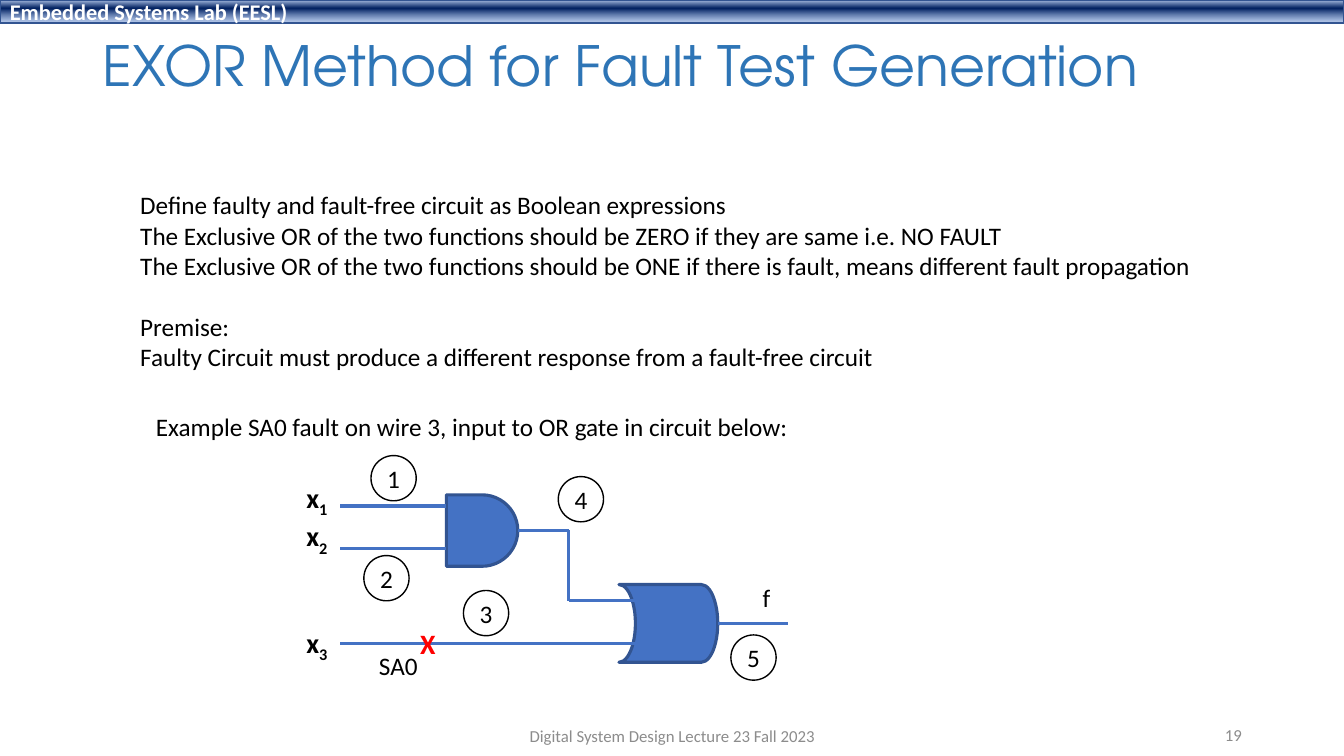
from dataclasses import dataclass

import lxml.etree
import pptx
import pptx.dml.color
import pptx.enum.shapes
import pptx.enum.text
import pptx.oxml
import pptx.oxml.ns
import pptx.util

Cm, Pt = pptx.util.Cm, pptx.util.Pt
Align, Anchor = pptx.enum.text.PP_ALIGN, pptx.enum.text.MSO_ANCHOR
Preset = pptx.enum.shapes.MSO_SHAPE
qn = pptx.oxml.ns.qn

COLORS = {
    "title": "2E75B6", "text": "000000", "footer": "8C8C8C", "banner text": "FFFFFF",
    "wire": "4472C4", "outline": "325491", "fault": "FF0000",
    "banner top": "ABC0E4", "banner middle": "002060", "banner bottom": "7E9ED6",
}


@dataclass
class Box:
    left: float
    top: float
    width: float
    height: float

    def cm(self) -> tuple:
        return Cm(self.left), Cm(self.top), Cm(self.width), Cm(self.height)


@dataclass
class Label:
    text: str
    box: Box
    size: float = 18
    color: str = "text"
    bold: bool = False
    align: Align = Align.LEFT
    anchor: Anchor = Anchor.TOP
    wrap: bool = False


@dataclass
class Gate:
    preset: Preset
    box: Box
    flipped: bool = False


@dataclass
class WireNumber:
    number: int
    left: float
    top: float


def rgb(name: str) -> pptx.dml.color.RGBColor:
    return pptx.dml.color.RGBColor.from_string(COLORS[name])


def write(frame, text: str, *, size: float = 18, color: str = "text", bold: bool = False,
          font: str = "Calibri", align=Align.LEFT, anchor=Anchor.TOP, wrap: bool = False,
          line_spacing: float = 1.0, gaps: dict = {}) -> None:
    """Write one paragraph per line; "_" marks the start of a subscript, gaps maps line to points before."""
    frame.auto_size = pptx.enum.text.MSO_AUTO_SIZE.NONE
    frame.word_wrap, frame.vertical_anchor = wrap, anchor
    for row, line in enumerate(text.split("\n")):
        paragraph = frame.add_paragraph() if row else frame.paragraphs[0]
        paragraph.alignment, paragraph.line_spacing = align, line_spacing
        paragraph.space_before, paragraph.space_after = Pt(gaps.get(row, 0)), Pt(0)
        for part, words in enumerate(line.split("_")):
            run = paragraph.add_run()
            run.text = words
            run.font.size, run.font.name, run.font.bold = Pt(size), font, bold
            run.font.color.rgb = rgb(color)
            if part:
                run.font._element.set("baseline", "-25000")


def place(shape, box: Box) -> None:
    shape.left, shape.top, shape.width, shape.height = box.cm()


def add_label(slide, label: Label, **extra) -> None:
    write(slide.shapes.add_textbox(*label.box.cm()).text_frame, label.text, size=label.size,
          color=label.color, bold=label.bold, align=label.align, anchor=label.anchor,
          wrap=label.wrap, **extra)


def add_outlined(slide, preset: Preset, box: Box, line: str, width: float):
    shape = slide.shapes.add_shape(preset, *box.cm())
    shape.shadow.inherit = False
    shape.fill.background()
    shape.line.color.rgb, shape.line.width = rgb(line), Pt(width)
    return shape


def add_banner(slide, text: str) -> None:
    banner = add_outlined(slide, Preset.RECTANGLE, Box(0, 0, 33.87, 0.58), "outline", 1)
    banner.fill.gradient()
    gradient = banner._element.spPr.find(qn("a:gradFill"))
    stops = gradient.find(qn("a:gsLst"))
    for stop in list(stops):
        stops.remove(stop)
    for position, name, opacity in ((2, "banner top", 100), (38, "banner middle", 100),
                                    (93, "banner bottom", 64)):
        stop = lxml.etree.SubElement(stops, qn("a:gs"), pos=str(position * 1000))
        color = lxml.etree.SubElement(stop, qn("a:srgbClr"), val=COLORS[name])
        if opacity < 100:
            lxml.etree.SubElement(color, qn("a:alpha"), val=str(opacity * 1000))
    banner.fill.gradient_angle = 270
    write(banner.text_frame, text, size=16, color="banner text", bold=True,
          anchor=Anchor.MIDDLE, wrap=True)


def add_gate(slide, gate: Gate) -> None:
    shape = add_outlined(slide, gate.preset, gate.box, "outline", 2.25)
    shape.fill.solid()
    shape.fill.fore_color.rgb = rgb("wire")
    if gate.flipped:
        shape._element.spPr.find(qn("a:xfrm")).set("flipH", "1")


def add_wire(slide, points: list) -> None:
    for start, end in zip(points, points[1:]):
        wire = slide.shapes.add_connector(pptx.enum.shapes.MSO_CONNECTOR.STRAIGHT,
                                          *(Cm(value) for value in start + end))
        wire.line.color.rgb, wire.line.width = rgb("wire"), Pt(2.25)
        lxml.etree.SubElement(wire._element.spPr, qn("a:effectLst"))


def add_wire_number(slide, mark: WireNumber) -> None:
    circle = add_outlined(slide, Preset.OVAL, Box(mark.left, mark.top, 1.14, 1.14), "text", 1)
    frame = circle.text_frame
    frame.margin_left = frame.margin_right = frame.margin_top = frame.margin_bottom = 0
    write(frame, str(mark.number), align=Align.CENTER, anchor=Anchor.MIDDLE)


METHOD = """Define faulty and fault-free circuit as Boolean expressions
The Exclusive OR of the two functions should be ZERO if they are same i.e. NO FAULT
The Exclusive OR of the two functions should be ONE if there is fault, means different fault propagation
Premise:
Faulty Circuit must produce a different response from a fault-free circuit"""

GATES = [
    Gate(Preset.FLOWCHART_DELAY, Box(11.25, 12.47, 1.8, 1.8)),
    Gate(Preset.FLOWCHART_STORED_DATA, Box(15.6, 14.73, 2.49, 1.96), flipped=True),
]
WIRES = [
    [(8.58, 12.75), (11.25, 12.75)],
    [(8.58, 13.82), (11.25, 13.82)],
    [(8.58, 16.21), (16.08, 16.21)],
    [(13.06, 13.36), (14.33, 13.36), (14.33, 15.14), (16.08, 15.14)],
    [(18.1, 15.72), (19.86, 15.72)],
]
WIRE_NUMBERS = [
    WireNumber(1, 9.35, 11.48), WireNumber(2, 9.17, 14), WireNumber(3, 11.68, 14.88),
    WireNumber(4, 14.07, 12.01), WireNumber(5, 18.42, 16),
]
LABELS = [
    Label("Example SA0 fault on wire 3, input to OR gate in circuit below:",
          Box(3.68, 10.24, 16.64, 1.02)),
    Label("X", Box(10.34, 15.65, 0.91, 1.12), size=20, color="fault", bold=True),
    Label("SA0", Box(9.3, 16.26, 1.5, 1.02)),
    Label("f", Box(18.97, 14.55, 0.71, 1.02)),
    Label("Digital System Design Lecture 23 Fall 2023", Box(11.23, 18.03, 11.43, 1.02), size=12,
          color="footer", align=Align.CENTER, anchor=Anchor.MIDDLE, wrap=True),
    Label("19", Box(23.93, 18.01, 7.62, 1.02), size=12, color="footer", align=Align.RIGHT,
          anchor=Anchor.MIDDLE, wrap=True),
]
INPUTS = Label("x_1\nx_2\nx_3", Box(7.47, 11.99, 1.09, 4.52), size=20, bold=True)


def main() -> None:
    deck = pptx.Presentation()
    deck.slide_width, deck.slide_height = Cm(33.87), Cm(19.05)
    slide = deck.slides.add_slide(deck.slide_layouts[1])

    # Banner and title
    add_banner(slide, "Embedded Systems Lab (EESL)")
    title = slide.shapes.title
    place(title, Box(2.34, 0.74, 29.21, 1.96))
    write(title.text_frame, "EXOR Method for Fault Test Generation", size=39.6, color="title",
          font="TeX Gyre Adventor", anchor=Anchor.MIDDLE, wrap=True, line_spacing=0.9)

    # Method and premise, without bullets
    method = slide.placeholders[1]
    place(method, Box(3.28, 4.65, 27.33, 4.88))
    write(method.text_frame, METHOD, gaps={3: 22})
    for paragraph in method.text_frame.paragraphs:
        properties = paragraph._p.get_or_add_pPr()
        properties.set("marL", "0")
        properties.set("indent", "0")
        lxml.etree.SubElement(properties, qn("a:buNone"))

    # Circuit
    for gate in GATES:
        add_gate(slide, gate)
    for wire in WIRES:
        add_wire(slide, wire)
    for mark in WIRE_NUMBERS:
        add_wire_number(slide, mark)

    # Labels and footer
    add_label(slide, INPUTS, gaps={2: 49})
    for label in LABELS:
        add_label(slide, label)

    deck.save("out.pptx")


if __name__ == "__main__":
    main()
